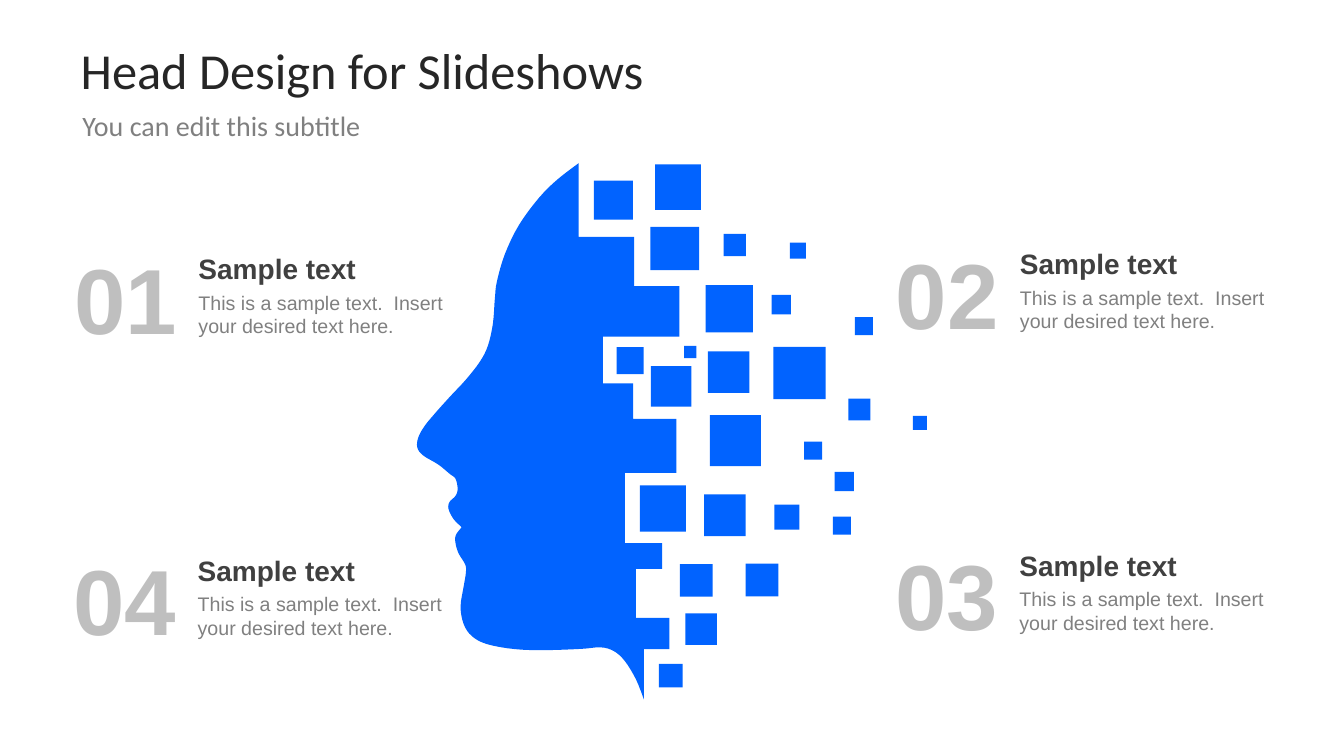
"""Build a slide with a head dissolving into tiles and four numbered notes."""
from pptx import Presentation
from pptx.dml.color import RGBColor
from pptx.enum.shapes import MSO_SHAPE
from pptx.enum.text import MSO_ANCHOR, MSO_AUTO_SIZE, PP_ALIGN
from pptx.util import Pt

BLUE = RGBColor(0x01, 0x63, 0xFF)
INK = RGBColor(0x26, 0x26, 0x26)
DARK = RGBColor(0x40, 0x40, 0x40)
GREY = RGBColor(0x80, 0x80, 0x80)
LIGHT = RGBColor(0xBF, 0xBF, 0xBF)

TITLE = "Head Design for Slideshows"
SUBTITLE = "You can edit this subtitle"
HEADING = "Sample text"
BODY = "This is a sample text.  Insert your desired text here."

# number, left, top
NOTES = [
    ("02", 632.9, 165.6),
    ("03", 632.5, 381),
    ("01", 46.1, 169.2),
    ("04", 45.5, 384.6),
]

# left, top, width, height
TILES = [
    (552.4, 247.8, 37.4, 37.4), (504, 203.6, 33.9, 33.9),
    (464.5, 162, 34.9, 31), (551.2, 210.7, 13.8, 13.8),
    (516.8, 167.1, 15.9, 15.9), (564.2, 173.4, 11.4, 11.4),
    (574.3, 315.5, 12.9, 12.9), (502.9, 353.2, 29.8, 29.8),
    (505.6, 251, 29.7, 29.7), (485.6, 402.9, 23.4, 23.4),
    (465, 261.6, 28.9, 28.9), (470.7, 474.2, 16.9, 16.9),
    (440.5, 247.9, 19.3, 19.3), (553.2, 360.4, 17.9, 17.9),
    (424.2, 129.1, 27.9, 27.9), (596.2, 337, 13.8, 13.8),
    (606.1, 284.7, 15.6, 15.6), (594.9, 369, 12.9, 12.9),
    (610.6, 226.5, 12.9, 12.9), (532.7, 402.7, 23.4, 23.4),
    (468, 117.4, 32.6, 32.6), (457, 346.7, 33, 33),
    (507, 296.5, 36.5, 36.5), (489.5, 438.1, 22.6, 22.6),
    (652.1, 297, 10.1, 10.1), (488.6, 247, 8.9, 8.9),
]

# right edge and lower end of each step at the back of the head
CROWN = (413.3, 116.6)
STEPS = [
    (413.3, 169.2), (452.9, 204.5), (485.3, 240.5), (430.6, 273.8),
    (452.2, 299.3), (483.1, 337.8), (446.4, 388), (473, 406.3),
    (454.3, 441.3), (478.1, 463.7), (460, 499.7),
]

# smooth curves, each ending in a corner where the next begins
CURVES = [
    [(460, 499.7), (454.3, 485.3), (446.4, 472.3), (438.5, 465.1),
     (429.1, 462.4), (415.4, 463.5), (390.2, 464.4), (367.9, 463.7),
     (347.8, 460.1), (337, 454.3), (331.2, 445.7), (329, 433.4),
     (331.2, 419), (332.8, 409), (332.3, 403.2), (327.6, 395.3),
     (325.4, 388), (325.6, 382.3), (329.8, 376.6)],
    [(329.8, 376.6), (324, 370.8), (320.4, 363.6), (321.1, 358.6),
     (325.4, 354.2), (326.9, 349.2), (325.4, 342), (321.1, 338.4),
     (313.2, 331.9), (302.4, 325.4), (298.1, 319.7), (298.8, 312.5),
     (303.1, 304.6), (309.6, 296.6), (321.1, 283.7), (332.6, 271.4),
     (342.7, 258.5), (348.5, 247), (352.1, 231.1), (353.5, 213.1),
     (355, 200.9), (360.7, 181.4), (370.8, 160.6), (385.2, 141.1),
     (398.2, 128.2), CROWN],
]


def smooth(knots, parts=4):
    ends = [knots[0]] + knots + [knots[-1]]
    points = []
    for a, b, c, d in zip(ends, ends[1:], ends[2:], ends[3:]):
        for n in range(1, parts + 1):
            t = n / parts
            points.append(tuple(
                (2 * q + (r - p) * t + (2 * p - 5 * q + 4 * r - s) * t ** 2
                 + (3 * q - p - 3 * r + s) * t ** 3) / 2
                for p, q, r, s in zip(a, b, c, d)))
    return points


def head_outline():
    points = []
    y = CROWN[1]
    for x, bottom in STEPS:
        points += [(x, y), (x, bottom)]
        y = bottom
    for curve in CURVES:
        points += smooth(curve)
    return [(Pt(x), Pt(y)) for x, y in points]


def paint(sp):
    sp.shadow.inherit = False
    sp.fill.solid()
    sp.fill.fore_color.rgb = BLUE
    sp.line.fill.background()


def write(tf, text, size, color, font="Arial", bold=False):
    p = tf.paragraphs[0]
    p.alignment = PP_ALIGN.LEFT
    r = p.add_run()
    r.text = text
    r.font.name = font
    r.font.size = Pt(size)
    r.font.bold = bold
    r.font.color.rgb = color


def add_text(shapes, box, *style, wrap=True, anchor=MSO_ANCHOR.TOP, **kw):
    tf = shapes.add_textbox(*map(Pt, box)).text_frame
    tf.word_wrap = wrap
    tf.auto_size = MSO_AUTO_SIZE.SHAPE_TO_FIT_TEXT
    tf.vertical_anchor = anchor
    write(tf, *style, **kw)


def add_title(slide):
    sp = slide.shapes.title
    sp.left, sp.top, sp.width, sp.height = map(Pt, (48, 21.6, 864, 56.2))
    tf = sp.text_frame
    tf.auto_size = MSO_AUTO_SIZE.NONE
    tf.vertical_anchor = MSO_ANCHOR.MIDDLE
    tf.margin_left = tf.margin_right = Pt(9.6)
    tf.margin_top = tf.margin_bottom = Pt(4.8)
    write(tf, TITLE, 36, INK, font="Calibri")


def add_head(slide):
    shapes = slide.shapes.add_group_shape().shapes
    start, *rest = head_outline()
    builder = shapes.build_freeform(*start, scale=1.0)
    builder.add_line_segments(rest, close=True)
    paint(builder.convert_to_shape())
    for tile in TILES:
        paint(shapes.add_shape(MSO_SHAPE.RECTANGLE, *map(Pt, tile)))


def add_note(slide, number, left, top):
    shapes = slide.shapes.add_group_shape().shapes
    text_left = left + 88.6
    add_text(shapes, (left, top, 88.6, 87.1), number, 66, LIGHT,
             bold=True, wrap=False)
    add_text(shapes, (text_left, top + 6.5, 194.4, 31.5), HEADING, 20, DARK,
             bold=True, anchor=MSO_ANCHOR.BOTTOM)
    add_text(shapes, (text_left, top + 34.9, 194.4, 41.2), BODY, 14, GREY)


def main():
    prs = Presentation()
    prs.slide_width, prs.slide_height = Pt(960), Pt(540)
    slide = prs.slides.add_slide(prs.slide_layouts[5])
    add_title(slide)
    add_head(slide)
    add_text(slide.shapes, (51.8, 74.2, 312.5, 31.5), SUBTITLE, 20, GREY,
             font="Calibri")
    for note in NOTES:
        add_note(slide, *note)
    prs.save("out.pptx")


if __name__ == "__main__":
    main()
